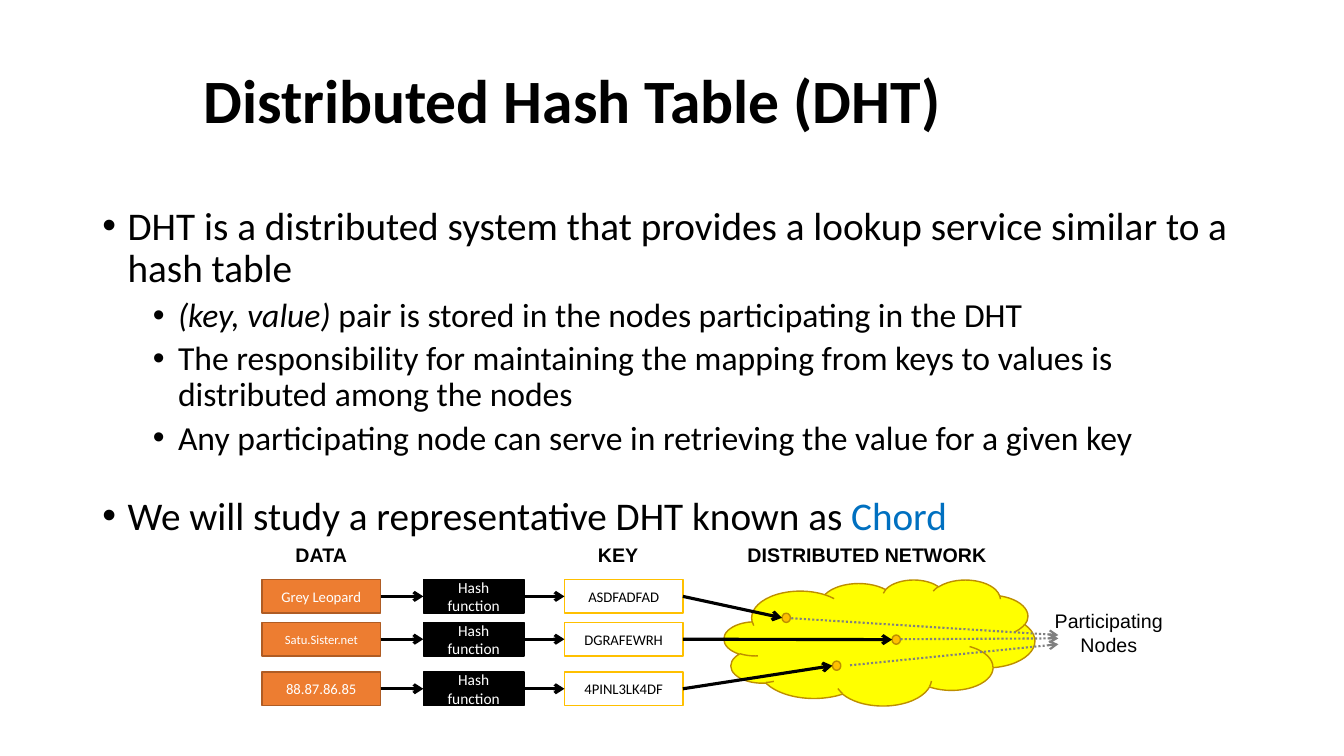
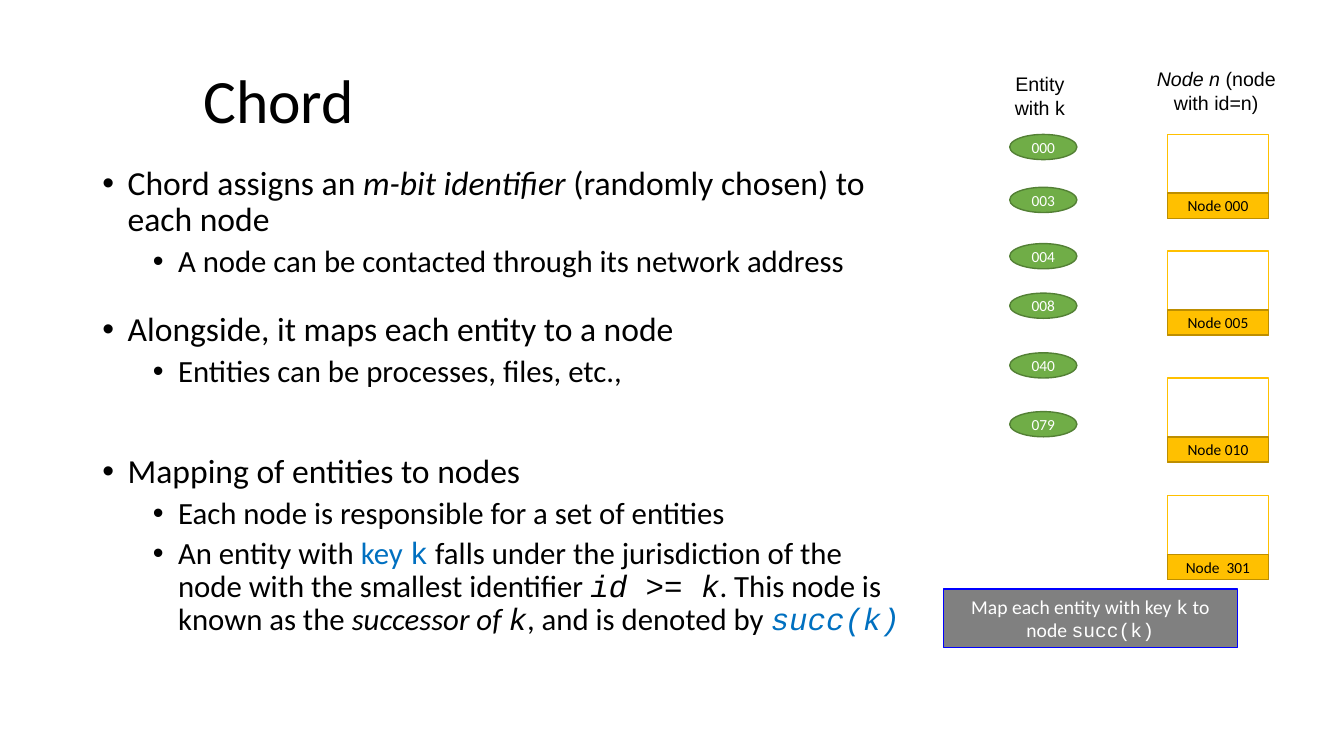
import itertools
from dataclasses import dataclass, field
from typing import Any

import lxml.etree
import pptx
import pptx.dml.color
import pptx.enum.dml
import pptx.enum.shapes
import pptx.enum.text
import pptx.oxml.ns
import pptx.util

# Grid of 160 columns by 90 rows covering the slide
SLIDE_WIDTH, SLIDE_HEIGHT = pptx.util.Inches(13.333), pptx.util.Inches(7.5)
COLUMNS, ROWS = 160, 90

# Shared colours
BLACK, WHITE, GREY = "000000", "FFFFFF", "808080"
ORANGE, ORANGE_EDGE = "ED7D31", "AF5C24"
GOLD, GOLD_EDGE = "FFC000", "BD8E00"
GREEN, GREEN_EDGE = "70AD47", "538035"
YELLOW, LINK_BLUE, BORDER_BLUE = "FFFF00", "0070C0", "0000FF"

# Shared text formats
TITLE = {"name": "Calibri", "size": 44, "color": BLACK}
BODY = {"name": "Calibri", "color": BLACK}
LABEL = {"name": "Arial", "size": 14, "color": BLACK}
HEADING = LABEL | {"bold": True}
DARK_TEXT = {"name": "Calibri", "size": 11, "color": BLACK}
LIGHT_TEXT = DARK_TEXT | {"color": WHITE}
CODE = {"name": "Courier New"}
ITALIC = {"italic": True}
BLUE = {"color": LINK_BLUE}

SHAPE = pptx.enum.shapes.MSO_SHAPE
ALIGN = pptx.enum.text.PP_ALIGN
ANCHOR = pptx.enum.text.MSO_ANCHOR
FIT = pptx.enum.text.MSO_AUTO_SIZE


@dataclass
class Area:
    left: float
    top: float
    width: float
    height: float

    @property
    def right(self) -> float:
        return self.left + self.width

    @property
    def middle(self) -> float:
        return self.top + self.height / 2


@dataclass
class Span:
    text: str
    style: dict[str, Any] = field(default_factory=dict)


@dataclass
class Bullet:
    level: int
    size: int
    spans: list[Span]
    gap: float = 0  # extra points above the usual spacing


@dataclass
class Look:
    kind: Any
    fill: str
    edge: str


@dataclass
class LineStyle:
    color: str
    width: float
    dash: Any = None


@dataclass
class HashRow:
    top: float
    data: str
    data_size: float
    key: str
    dot: Area


DATA_BOX = Look(SHAPE.RECTANGLE, ORANGE, ORANGE_EDGE)
HASH_BOX = Look(SHAPE.RECTANGLE, BLACK, BLACK)
KEY_BOX = Look(SHAPE.RECTANGLE, WHITE, GOLD)
NODE_BAR = Look(SHAPE.RECTANGLE, GOLD, GOLD_EDGE)
NETWORK = Look(SHAPE.CLOUD, YELLOW, GOLD_EDGE)
DOT = Look(SHAPE.OVAL, GOLD, GOLD_EDGE)
ENTITY = Look(SHAPE.OVAL, GREEN, GREEN_EDGE)
NOTE = Look(SHAPE.RECTANGLE, GREY, BORDER_BLUE)
FLOW = LineStyle(BLACK, 2.25)
POINTER = LineStyle(GREY, 1.5, pptx.enum.dml.MSO_LINE.ROUND_DOT)

TITLE_AREA = Area(23, 3.6, 113, 17.4)


# Helpers
def rgb(value: str) -> pptx.dml.color.RGBColor:
    return pptx.dml.color.RGBColor.from_string(value)


def across(columns: float) -> int:
    return round(SLIDE_WIDTH * columns / COLUMNS)


def down(rows: float) -> int:
    return round(SLIDE_HEIGHT * rows / ROWS)


def corners(area: Area) -> tuple[int, int, int, int]:
    return across(area.left), down(area.top), across(area.width), down(area.height)


def add_spans(para: Any, spans: list[Span], base: dict[str, Any]) -> None:
    for span in spans:
        run = para.add_run()
        run.text = span.text
        for name, value in (base | span.style).items():
            if name == "color":
                run.font.color.rgb = rgb(value)
            else:
                setattr(run.font, name, pptx.util.Pt(value) if name == "size" else value)


def place(holder: Any, area: Area, anchor: Any) -> Any:
    bounds = zip(("left", "top", "width", "height"), corners(area))
    for name, value in bounds:
        setattr(holder, name, value)
    settings = {"word_wrap": True, "auto_size": FIT.NONE, "vertical_anchor": anchor}
    for name, value in settings.items():
        setattr(holder.text_frame, name, value)
    return holder.text_frame


def add_page(deck: Any, title: str, style: dict[str, Any], body: Area,
             bullets: list[Bullet]) -> Any:
    page = deck.slides.add_slide(deck.slide_layouts[1])
    para = place(page.shapes.title, TITLE_AREA, ANCHOR.MIDDLE).paragraphs[0]
    para.alignment, para.line_spacing = ALIGN.LEFT, 0.9
    add_spans(para, [Span(title)], TITLE | style)

    frame = place(page.placeholders[1], body, ANCHOR.TOP)
    for index, bullet in enumerate(bullets):
        para = frame.add_paragraph() if index else frame.paragraphs[0]
        para.level, para.line_spacing = bullet.level, 0.9
        para.space_before = pptx.util.Pt((5 if bullet.level else 10) + bullet.gap)
        settings = para._p.get_or_add_pPr()
        settings.set("marL", str(pptx.util.Inches(0.25 + 0.5 * bullet.level)))
        settings.set("indent", str(pptx.util.Inches(-0.25)))
        mark = lxml.etree.SubElement(settings, pptx.oxml.ns.qn("a:buChar"))
        mark.set("char", "•")
        add_spans(para, bullet.spans, BODY | {"size": bullet.size})
    return page


def add_box(shapes: Any, area: Area, look: Look, spans: list[Span] | None = None,
            style: dict[str, Any] = LIGHT_TEXT) -> Any:
    box = shapes.add_shape(look.kind, *corners(area))
    box.shadow.inherit = False
    box.fill.solid()
    box.fill.fore_color.rgb = rgb(look.fill)
    box.line.color.rgb = rgb(look.edge)
    box.line.width = pptx.util.Pt(1)
    if spans:
        box.text_frame.word_wrap = True
        box.text_frame.vertical_anchor = ANCHOR.MIDDLE
        para = box.text_frame.paragraphs[0]
        para.alignment = ALIGN.CENTER
        add_spans(para, spans, style)
    return box


def add_label(page: Any, area: Area, spans: list[Span], style: dict[str, Any] = LABEL,
              align: Any = ALIGN.CENTER) -> None:
    box = page.shapes.add_textbox(*corners(area))
    box.text_frame.word_wrap = True
    box.text_frame.auto_size = FIT.SHAPE_TO_FIT_TEXT
    para = box.text_frame.paragraphs[0]
    para.alignment = align
    add_spans(para, spans, style)


def add_arrow(page: Any, start: tuple[float, float], end: tuple[float, float],
              style: LineStyle) -> None:
    arrow = page.shapes.add_connector(
        pptx.enum.shapes.MSO_CONNECTOR.STRAIGHT,
        across(start[0]), down(start[1]), across(end[0]), down(end[1]))
    arrow.line.color.rgb = rgb(style.color)
    arrow.line.width = pptx.util.Pt(style.width)
    if style.dash:
        arrow.line.dash_style = style.dash
    head = lxml.etree.SubElement(arrow.line._get_or_add_ln(), pptx.oxml.ns.qn("a:tailEnd"))
    head.set("type", "arrow")
    lxml.etree.SubElement(arrow._element.spPr, pptx.oxml.ns.qn("a:effectLst"))


# Slide 1: hash table overview
def build_overview(deck: Any) -> None:
    page = add_page(deck, "Distributed Hash Table (DHT)", {"bold": True}, Area(11, 24, 138, 57.1), [
        Bullet(0, 28, [Span("DHT is a distributed system that provides a lookup service "
                            "similar to a hash table")]),
        Bullet(1, 24, [Span("(key, value)", ITALIC),
                       Span(" pair is stored in the nodes participating in the DHT")]),
        Bullet(1, 24, [Span("The responsibility for maintaining the mapping from keys to "
                            "values is distributed among the nodes")]),
        Bullet(1, 24, [Span("Any participating node can serve in retrieving the value "
                            "for a given key")]),
        Bullet(0, 28, [Span("We will study a representative DHT known as "),
                       Span("Chord", BLUE)], gap=18),
    ])

    # Column headings and the network
    for left, width, text in ((34, 8.9, "DATA"), (70, 8.9, "KEY"),
                              (87.8, 31.4, "DISTRIBUTED NETWORK")):
        add_label(page, Area(left, 64, width, 4.1), [Span(text)], HEADING, ALIGN.LEFT)
    add_box(page.shapes, Area(86.2, 69, 37, 15), NETWORK)

    # Data, hash function and key in each row, ending at a node
    rows = [
        HashRow(69, "Grey Leopard", 10.5, "ASDFADFAD", Area(93.1, 73, 1, 1.1)),
        HashRow(74.1, "Satu.Sister.net", 9, "DGRAFEWRH", Area(106.2, 75.6, 1, 1.1)),
        HashRow(80, "88.87.86.85", 10.5, "4PINL3LK4DF", Area(99.1, 78.7, 1, 1.1)),
    ]
    for row in rows:
        chain = [Area(left, row.top, width, 4)
                 for left, width in ((31.2, 14.1), (50.4, 12), (67.2, 14.1))]
        add_box(page.shapes, chain[0], DATA_BOX, [Span(row.data, {"size": row.data_size})])
        add_box(page.shapes, chain[1], HASH_BOX, [Span("Hash function")])
        add_box(page.shapes, chain[2], KEY_BOX, [Span(row.key, {"size": 10.5})], DARK_TEXT)
        add_box(page.shapes, row.dot, DOT)
        for source, target in itertools.pairwise([*chain, row.dot]):
            add_arrow(page, (source.right, source.middle), (target.left, target.middle), FLOW)

    # Pointers to the caption
    for start, end_row in (((94.2, 73.6), 75.6), ((107.2, 76.1), 76), ((101.2, 79.2), 76.7)):
        add_arrow(page, start, (126, end_row), POINTER)
    add_label(page, Area(124, 71.9, 16, 6.8), [Span("Participating Nodes")])


# Slide 2: mapping entities to nodes
def build_chord(deck: Any) -> None:
    page = add_page(deck, "Chord", {}, Area(11, 19.2, 98.3, 59.4), [
        Bullet(0, 24, [Span("Chord assigns an "), Span("m-bit identifier", ITALIC),
                       Span(" (randomly chosen) to each node")]),
        Bullet(1, 22, [Span("A node can be contacted through its network address")]),
        Bullet(0, 24, [Span("Alongside, it maps each entity to a node")], gap=14),
        Bullet(1, 22, [Span("Entities can be processes, files, etc.,")]),
        Bullet(0, 24, [Span("Mapping of entities to nodes")], gap=36.5),
        Bullet(1, 22, [Span("Each node is responsible for a set of entities")]),
        Bullet(1, 22, [
            Span("An entity with "), Span("key ", BLUE), Span("k", CODE | BLUE),
            Span(" falls under the jurisdiction of the node with the smallest identifier "),
            Span("id >= k", CODE | ITALIC), Span(". This node is known as the "),
            Span("successor of ", ITALIC), Span("k", CODE | ITALIC),
            Span(", and is denoted by "), Span("succ(k)", CODE | ITALIC | BLUE)]),
    ])

    # Nodes, each a box with a name bar
    for top, name in ((16, "Node 000"), (29.9, "Node 005"), (45, "Node 010"), (59, "Node\u00a0 301".replace("\u00a0", " "))):
        node = page.shapes.add_group_shape()
        add_box(node.shapes, Area(139, top, 12, 10), KEY_BOX)
        add_box(node.shapes, Area(139, top + 7, 12, 3), NODE_BAR, [Span(name)], DARK_TEXT)

    # Entities
    for top, key in ((16, "000"), (22.3, "003"), (29, "004"),
                     (34.9, "008"), (42, "040"), (49, "079")):
        add_box(page.shapes, Area(120.2, top, 8, 3), ENTITY, [Span(key)])

    # Headings and the rule
    add_label(page, Area(118.3, 8, 11, 6.8), [Span("Entity with k")])
    add_label(page, Area(135.8, 7.4, 18, 6.8),
              [Span("Node n", ITALIC), Span(" (node with id=n)")])
    add_box(page.shapes, Area(112.3, 70.1, 35, 7), NOTE,
            [Span("Map each entity with key "), Span("k", CODE), Span(" to node "),
             Span("succ(k)", CODE)], LIGHT_TEXT | {"size": 14})


def main() -> None:
    deck = pptx.Presentation()
    deck.slide_width, deck.slide_height = SLIDE_WIDTH, SLIDE_HEIGHT
    build_overview(deck)
    build_chord(deck)
    deck.save("out.pptx")


if __name__ == "__main__":
    main()
